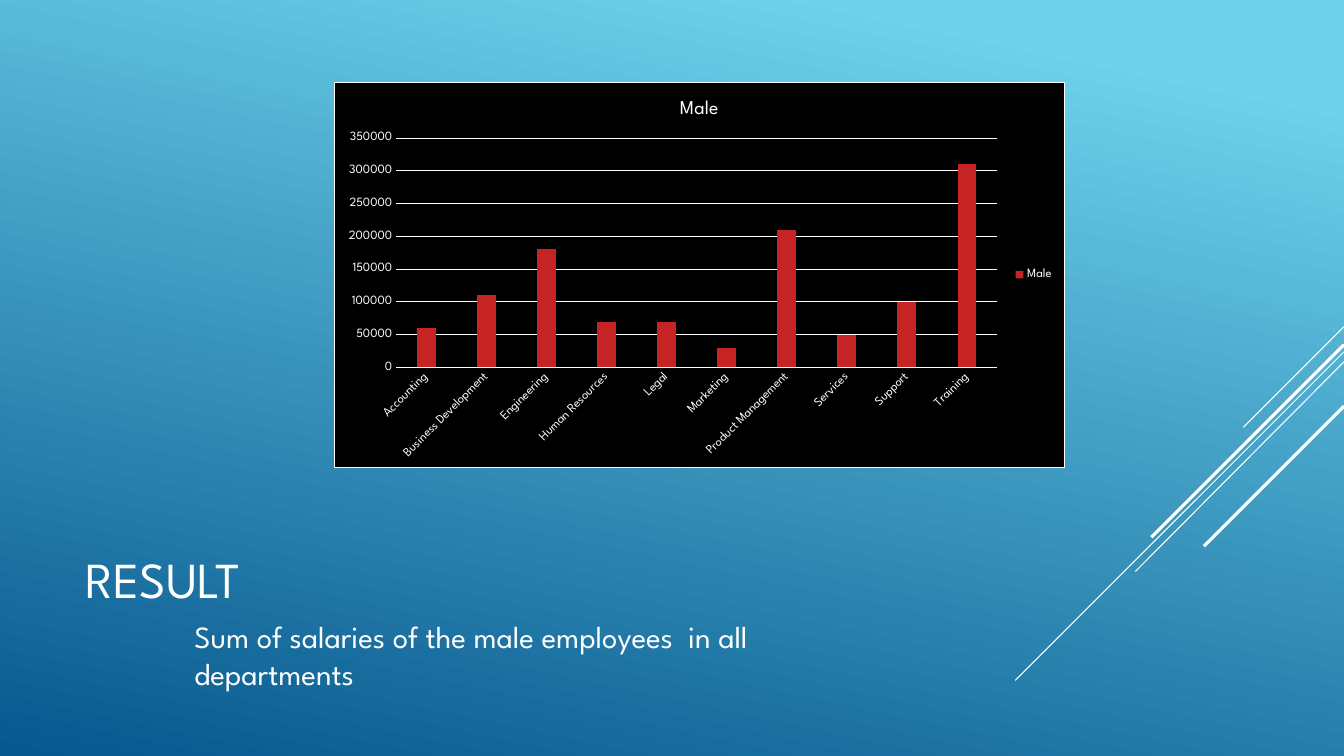
from dataclasses import dataclass

from lxml.etree import SubElement
from pptx import Presentation
from pptx.chart.data import CategoryChartData
from pptx.dml.color import RGBColor
from pptx.enum.chart import XL_CHART_TYPE as ChartType
from pptx.enum.chart import XL_LEGEND_POSITION as LegendPosition
from pptx.enum.chart import XL_TICK_MARK as TickMark
from pptx.enum.shapes import MSO_CONNECTOR as Connector
from pptx.enum.text import MSO_ANCHOR as Anchor
from pptx.oxml import parse_xml
from pptx.oxml.ns import nsdecls, qn
from pptx.util import Inches, Pt


@dataclass(frozen=True)
class Theme:
    font: str = "League Spartan"
    white: RGBColor = RGBColor(0xFF, 0xFF, 0xFF)
    black: RGBColor = RGBColor(0, 0, 0)
    bar: RGBColor = RGBColor(0xC6, 0x23, 0x24)
    sky: RGBColor = RGBColor(0x6E, 0xD2, 0xEB)
    deep: RGBColor = RGBColor(0x06, 0x58, 0x8E)
    title: float = 36
    body: float = 22
    chart_title: float = 14
    chart: float = 10
    label: float = 9
    thin: float = 0.75
    thick: float = 2.25


@dataclass(frozen=True)
class Stripe:
    top: float
    end_x: float
    end_y: float
    width: float


@dataclass(frozen=True)
class Label:
    text: str
    left: float
    top: float
    width: float
    height: float
    size: float
    anchor: Anchor


THEME = Theme()
SLIDE_W, SLIDE_H = 13.33, 7.5

STRIPES = [
    Stripe(3.24, 12.33, 4.24, THEME.thin),
    Stripe(3.49, 10.07, 6.75, THEME.thin),
    Stripe(3.59, 11.26, 5.67, THEME.thin),
    Stripe(3.42, 11.42, 5.33, THEME.thick),
    Stripe(4.03, 11.94, 5.42, THEME.thick),
]

LABELS = [
    Label("RESULT", 0.75, 4.91, 9.33, 1.65, THEME.title, Anchor.MIDDLE),
    Label("Sum of salaries of the male employees  in all departments",
          1.83, 6.08, 7.25, 0.84, THEME.body, Anchor.TOP),
]

SALARIES = {
    "Accounting": 60000,
    "Business Development": 110000,
    "Engineering": 180000,
    "Human Resources": 70000,
    "Legal": 70000,
    "Marketing": 30000,
    "Product Management": 210000,
    "Services": 50000,
    "Support": 100000,
    "Training": 310000,
}


def style_font(font, size: float) -> None:
    font.name = THEME.font
    font.size = Pt(size)
    font.bold = False
    font.color.rgb = THEME.white


def style_line(line, width: float) -> None:
    line.color.rgb = THEME.white
    line.width = Pt(width)


def paint_background(s) -> None:
    fill = s.background.fill
    fill.gradient()
    fill.gradient_angle = 258
    stops = ((0.1, THEME.sky), (1, THEME.deep))
    for stop, (position, color) in zip(fill.gradient_stops, stops):
        stop.position = position
        stop.color.rgb = color


def add_stripe(s, stripe: Stripe) -> None:
    line = s.shapes.add_connector(
        Connector.STRAIGHT, Inches(SLIDE_W), Inches(stripe.top),
        Inches(stripe.end_x), Inches(stripe.end_y))
    style_line(line.line, stripe.width)
    SubElement(line._element.spPr, qn("a:effectLst"))


def add_label(s, label: Label) -> None:
    box = s.shapes.add_textbox(Inches(label.left), Inches(label.top),
                               Inches(label.width), Inches(label.height))
    tf = box.text_frame
    tf.word_wrap = True
    tf.vertical_anchor = label.anchor
    tf.text = label.text
    style_font(tf.paragraphs[0].runs[0].font, label.size)


def frame_chart(chart) -> None:
    frame = parse_xml(
        f'<c:spPr {nsdecls("c", "a")}>'
        f'<a:solidFill><a:srgbClr val="{THEME.black}"/></a:solidFill>'
        f'<a:ln w="{Pt(THEME.thin)}"><a:solidFill>'
        f'<a:srgbClr val="{THEME.white}"/></a:solidFill></a:ln></c:spPr>')
    chart._chartSpace.find(qn("c:chart")).addnext(frame)


def add_salary_chart(s) -> None:
    data = CategoryChartData()
    data.categories = list(SALARIES)
    data.add_series("Male", list(SALARIES.values()))
    chart = s.shapes.add_chart(
        ChartType.COLUMN_CLUSTERED, Inches(3.31), Inches(0.81),
        Inches(7.25), Inches(3.83), data).chart
    style_font(chart.font, THEME.chart)
    frame_chart(chart)

    chart.has_title = True
    tf = chart.chart_title.text_frame
    tf.text = "Male"
    style_font(tf.paragraphs[0].runs[0].font, THEME.chart_title)

    chart.has_legend = True
    chart.legend.position = LegendPosition.RIGHT
    chart.legend.include_in_layout = False
    style_font(chart.legend.font, THEME.label)

    plot = chart.plots[0]
    plot.gap_width = 219
    plot.overlap = -27
    plot.vary_by_categories = False
    fill = plot.series[0].format.fill
    fill.solid()
    fill.fore_color.rgb = THEME.bar

    for axis in (chart.category_axis, chart.value_axis):
        axis.major_tick_mark = axis.minor_tick_mark = TickMark.NONE
        style_font(axis.tick_labels.font, THEME.label)
    style_line(chart.category_axis.format.line, THEME.thin)
    text_body = chart.category_axis._element.find(qn("c:txPr"))
    text_body.find(qn("a:bodyPr")).set("rot", "-60000000")

    values = chart.value_axis
    values.minimum_scale = 0
    values.maximum_scale = 350000
    values.major_unit = 50000
    values.format.line.fill.background()
    style_line(values.major_gridlines.format.line, THEME.thin)


def main() -> None:
    prs = Presentation()
    prs.slide_width = Inches(SLIDE_W)
    prs.slide_height = Inches(SLIDE_H)
    s = prs.slides.add_slide(prs.slide_layouts[6])
    paint_background(s)
    for stripe in STRIPES:
        add_stripe(s, stripe)
    title, caption = LABELS
    add_label(s, title)
    add_salary_chart(s)
    add_label(s, caption)
    prs.save("out.pptx")


if __name__ == "__main__":
    main()
